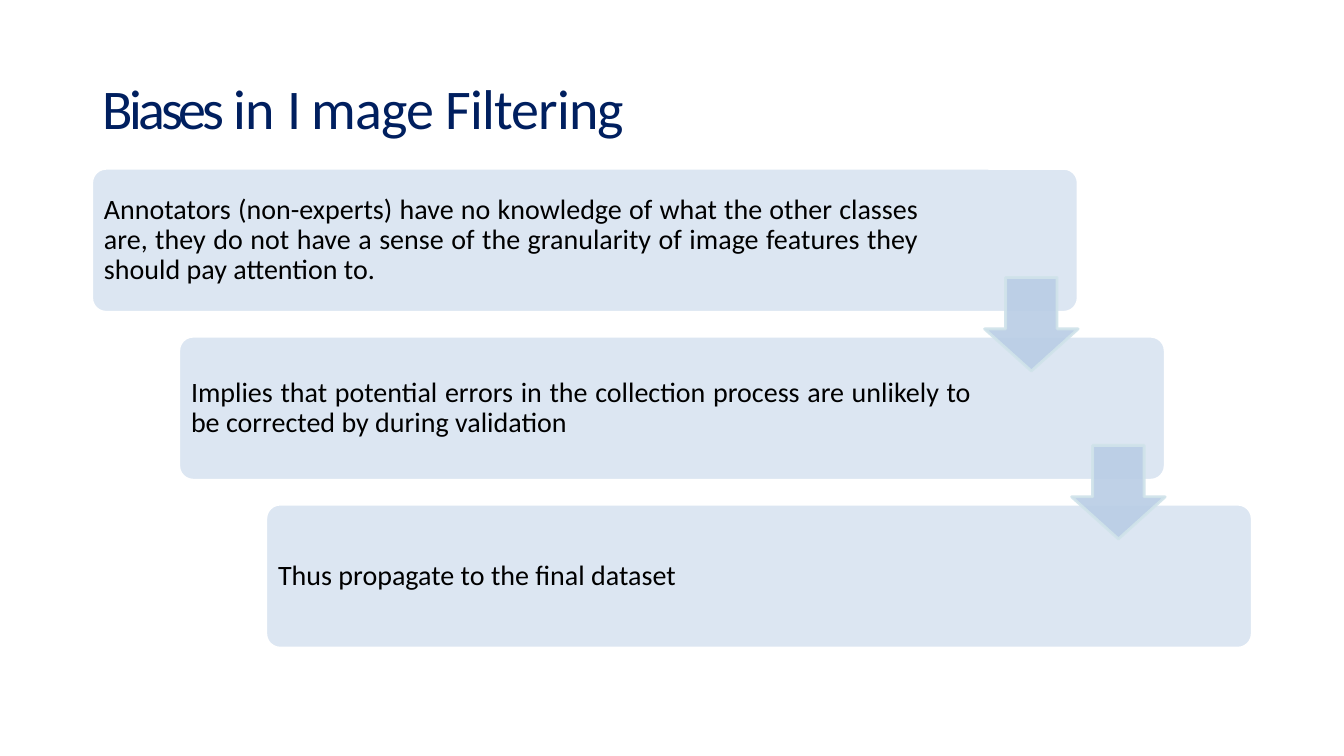
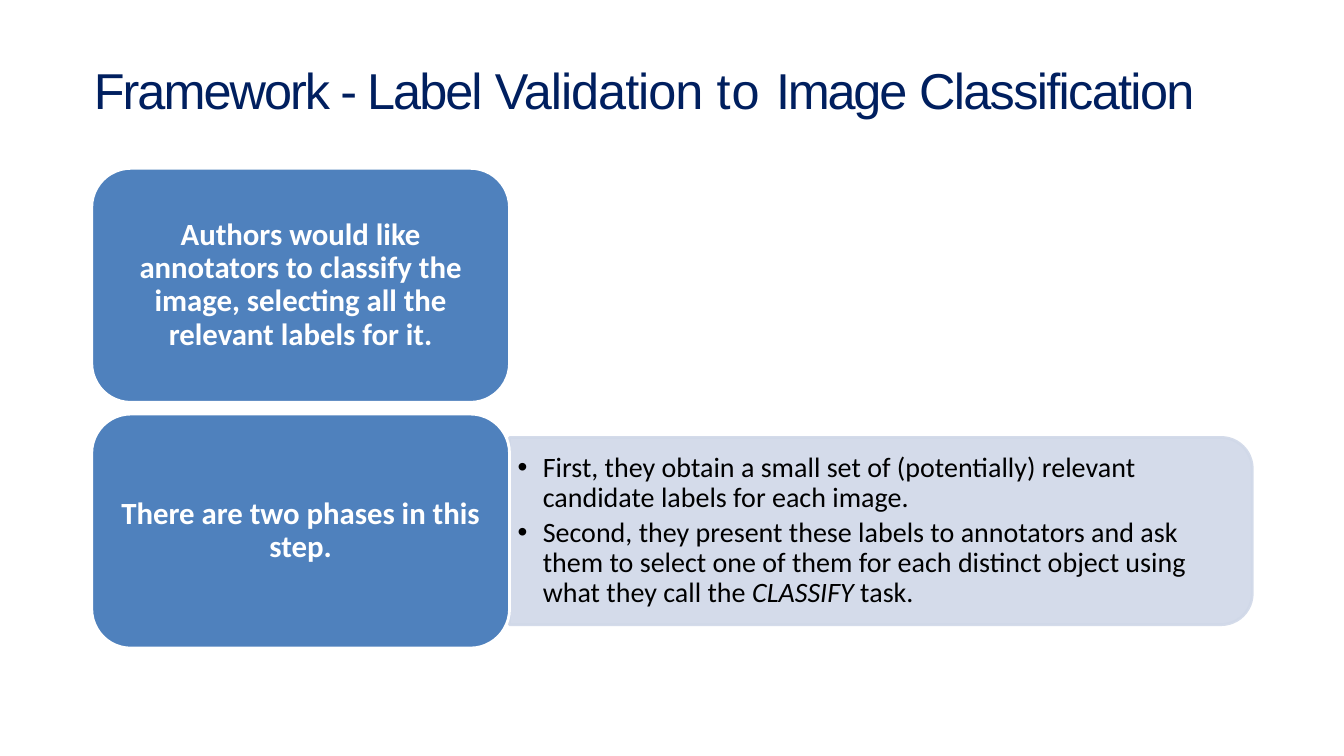
from dataclasses import dataclass

from lxml import etree
from pptx import Presentation
from pptx.dml.color import RGBColor
from pptx.enum.shapes import MSO_SHAPE as Shape
from pptx.enum.text import MSO_ANCHOR as Anchor, MSO_AUTO_SIZE as AutoSize, PP_ALIGN as Align
from pptx.oxml.ns import qn
from pptx.util import Inches, Pt


@dataclass(frozen=True)
class Theme:
    body_font: str = "Calibri"
    title_color: str = "001F5F"
    text_color: str = "000000"
    white: str = "FFFFFF"
    step_fill: str = "DCE6F2"
    arrow_fill: str = "B9CDE5"
    arrow_line: str = "D0E3EA"
    card_fill: str = "4F81BD"
    panel_fill: str = "D0D8E8"
    body_size: int = 20
    card_size: int = 22
    line_width: int = 2
    line_spacing: float = 0.9
    alpha: int = 90


@dataclass(frozen=True)
class Area:
    left: float
    top: float
    width: float
    height: float


THEME = Theme()
DIAGRAM = Area(0.91, 1.67, 11.51, 4.76)


def place(shape, area):
    shape.left, shape.top = Inches(area.left), Inches(area.top)
    shape.width, shape.height = Inches(area.width), Inches(area.height)


def set_margins(frame, left, top, right, bottom):
    frame.margin_left, frame.margin_top = Inches(left), Inches(top)
    frame.margin_right, frame.margin_bottom = Inches(right), Inches(bottom)


def set_font(font, name, size, color, bold=False):
    font.name, font.size, font.bold = name, Pt(size), bold
    font.color.rgb = RGBColor.from_string(color)


def add_title(slide, area, pieces, font_name, size, margins):
    """Fill the title placeholder with (text, letter spacing in points) pieces."""
    title = slide.shapes.title
    place(title, area)
    frame = title.text_frame
    frame.auto_size, frame.vertical_anchor = AutoSize.NONE, Anchor.TOP
    set_margins(frame, *margins)
    paragraph = frame.paragraphs[0]
    paragraph.alignment = Align.LEFT
    set_font(paragraph.font, font_name, size, THEME.title_color)
    for text, spacing in pieces:
        run = paragraph.add_run()
        run.text = text
        run._r.get_or_add_rPr().set("spc", str(round(spacing * 100)))
    return paragraph


def add_block(slide, kind, area, fill, line, alpha=100):
    shape = slide.shapes.add_shape(
        kind, Inches(area.left), Inches(area.top), Inches(area.width), Inches(area.height))
    shape.shadow.inherit = False
    shape.fill.solid()
    shape.fill.fore_color.rgb = RGBColor.from_string(fill)
    shape.line.color.rgb = RGBColor.from_string(line)
    shape.line.width = Pt(THEME.line_width)
    if alpha < 100:
        for color in shape._element.spPr.iter(qn("a:srgbClr")):
            etree.SubElement(color, qn("a:alpha")).set("val", str(alpha * 1000))
    return shape


def write_block(shape, text, alignment, size, color, margins, bold=False):
    frame = shape.text_frame
    frame.word_wrap, frame.vertical_anchor = True, Anchor.MIDDLE
    set_margins(frame, *margins)
    paragraph = frame.paragraphs[0]
    paragraph.text = text
    paragraph.alignment, paragraph.line_spacing = alignment, THEME.line_spacing
    set_font(paragraph.font, THEME.body_font, size, color, bold)


def add_bullets(slide, area, items):
    """Add a bulleted text box; each item is a list of (text, italic) runs."""
    box = slide.shapes.add_textbox(0, 0, 0, 0)
    place(box, area)
    frame = box.text_frame
    frame.word_wrap, frame.vertical_anchor = True, Anchor.MIDDLE
    set_margins(frame, 0.08, 0.04, 0.08, 0.04)
    for index, runs in enumerate(items):
        paragraph = frame.add_paragraph() if index else frame.paragraphs[0]
        properties = paragraph._p.get_or_add_pPr()
        properties.set("marL", str(Inches(0.25)))
        properties.set("indent", str(-Inches(0.25)))
        etree.SubElement(properties, qn("a:buFont")).set("typeface", "Arial")
        etree.SubElement(properties, qn("a:buChar")).set("char", "•")
        paragraph.line_spacing, paragraph.space_after = THEME.line_spacing, Pt(3)
        set_font(paragraph.font, THEME.body_font, THEME.body_size, THEME.text_color)
        for text, italic in runs:
            run = paragraph.add_run()
            run.text, run.font.italic = text, italic


def add_staircase(slide, steps):
    """Step (text, right margin) blocks down to the right, an arrow across each gap."""
    last = len(steps) - 1
    width, height = 0.85 * DIAGRAM.width, 0.3 * DIAGRAM.height
    shift = (DIAGRAM.width - width) / last
    drop = (DIAGRAM.height - height) / last
    areas = [Area(DIAGRAM.left + i * shift, DIAGRAM.top + i * drop, width, height)
             for i in range(len(steps))]
    for area, (text, right_margin) in zip(areas, steps):
        block = add_block(slide, Shape.ROUNDED_RECTANGLE, area, THEME.step_fill, THEME.white)
        block.adjustments[0] = 0.1
        write_block(block, text, Align.JUSTIFY, THEME.body_size, THEME.text_color,
                    (0.08, 0.08, right_margin, 0.08))
    side = 0.65 * height
    for area in areas[:-1]:
        gap_middle = area.top + (height + drop) / 2
        arrow = add_block(
            slide, Shape.DOWN_ARROW,
            Area(area.left + width - side, gap_middle - side / 2, side, side),
            THEME.arrow_fill, THEME.arrow_line, THEME.alpha)
        arrow.adjustments[0], arrow.adjustments[1] = 0.55, 0.45


def add_detail_panel(slide, card, items):
    """Add a panel rounded on its right side, reaching from the card to the diagram's edge."""
    left = card.left + card.width
    width, height = DIAGRAM.width - card.width, 0.8 * card.height
    middle = card.top + card.height / 2
    upright = Area(left + (width - height) / 2, middle - width / 2, height, width)
    panel = add_block(slide, Shape.ROUND_2_SAME_RECTANGLE, upright,
                      THEME.panel_fill, THEME.panel_fill, THEME.alpha)
    panel.rotation = 90
    add_bullets(slide, Area(left, middle - 0.84, width - 0.09, 1.68), items)


def add_card_rows(slide, rows):
    """Stack (card text, bullet items) rows in the left column."""
    pitch_share = 1.05
    height = DIAGRAM.height / (1 + pitch_share * (len(rows) - 1))
    for index, (text, items) in enumerate(rows):
        area = Area(DIAGRAM.left, DIAGRAM.top + index * pitch_share * height,
                    0.36 * DIAGRAM.width, height)
        if items:
            add_detail_panel(slide, area, items)
        card = add_block(slide, Shape.ROUNDED_RECTANGLE, area, THEME.card_fill, THEME.white)
        write_block(card, text, Align.CENTER, THEME.card_size, THEME.white,
                    (0.09, 0.05, 0.09, 0.05), bold=True)


def build_biases(slide):
    add_title(slide, Area(0.91, 0.65, 6.17, 0.72),
              [("Biases ", -2.8), ("in ", -0.5), ("I ", -1.6), ("mage Filtering", -0.6)],
              THEME.body_font, 40, (0.11, 0.08, 0.1, 0))
    add_staircase(slide, [
        ("Annotators (non-experts) have no knowledge of what the other classes are, they do "
         "not have a sense of the granularity of image features they should pay attention to.",
         1.54),
        ("Implies that potential errors in the collection process are unlikely to be "
         "corrected by during validation", 1.88),
        ("Thus propagate to the final dataset", 1.88),
    ])


def build_framework(slide):
    paragraph = add_title(
        slide, Area(0.92, 0.61, 11.92, 0.81),
        [("Framework - Label ", -1.4), ("Validation ", -0.7), ("to ", 0.8),
         ("Image ", -1.6), ("Classification", -1.2)],
        "Arial", 36, (0.01, 0.04, 0, 0))
    paragraph.line_spacing = THEME.line_spacing
    add_card_rows(slide, [
        ("Authors would like annotators to classify the image, selecting all the relevant "
         "labels for it.", []),
        ("There are two phases in this step.", [
            [("First, they obtain a small set of (potentially) relevant candidate labels "
              "for each image.", False)],
            [("Second, they present these labels to annotators and ask them to select one of "
              "them for each distinct object using what they call the ", False),
             ("CLASSIFY", True), (" task.", False)],
        ]),
    ])


def main():
    presentation = Presentation()
    presentation.slide_width, presentation.slide_height = Inches(13.33), Inches(7.5)
    title_only = presentation.slide_layouts[5]
    for build in (build_biases, build_framework):
        build(presentation.slides.add_slide(title_only))
    presentation.save("out.pptx")


if __name__ == "__main__":
    main()
